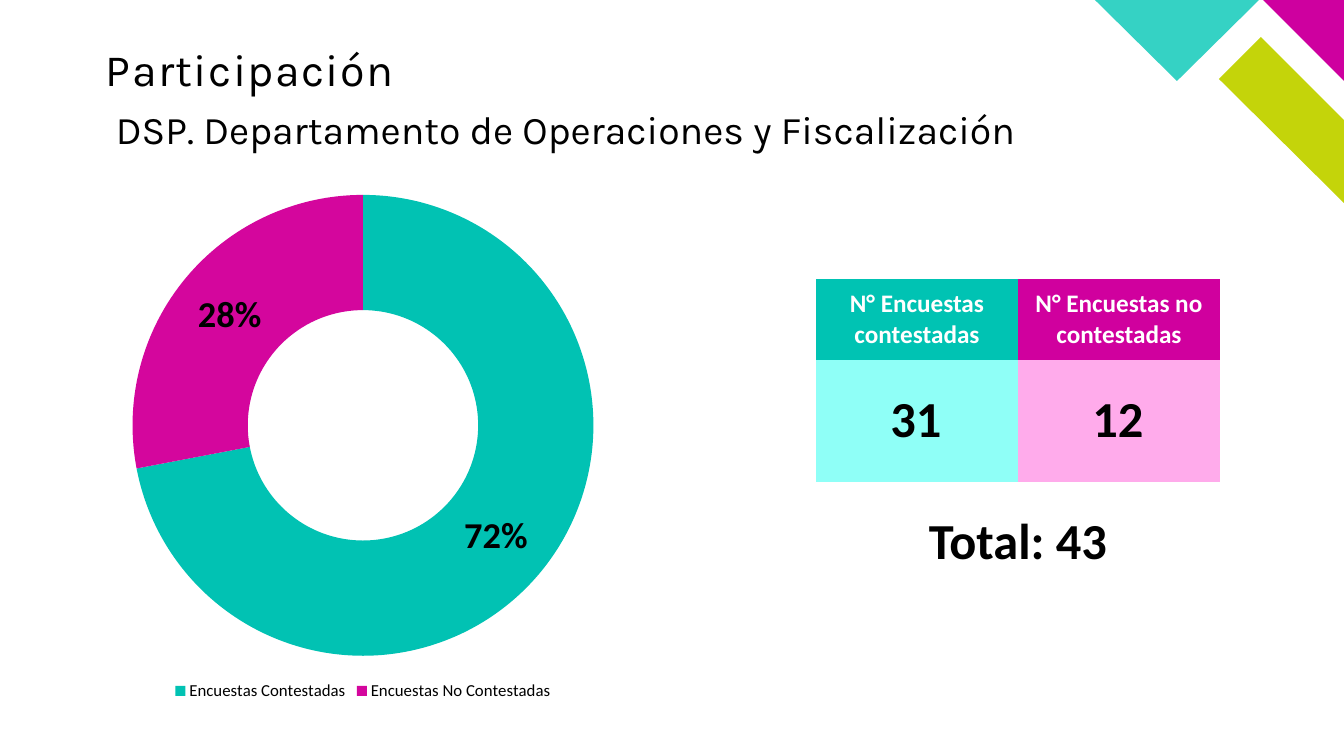
"""Build the survey participation slide: doughnut chart, count table and total."""
from pptx import Presentation
from pptx.chart.data import CategoryChartData
from pptx.dml.color import RGBColor
from pptx.enum.chart import XL_CHART_TYPE, XL_LEGEND_POSITION
from pptx.enum.text import MSO_ANCHOR, PP_ALIGN
from pptx.util import Pt

DOUGHNUT = XL_CHART_TYPE.DOUGHNUT
BOTTOM = XL_LEGEND_POSITION.BOTTOM
TOP, MIDDLE = MSO_ANCHOR.TOP, MSO_ANCHOR.MIDDLE
LEFT, CENTER = PP_ALIGN.LEFT, PP_ALIGN.CENTER
PX = 914400 / 100.8
NO_STYLE = "{2D5ABB26-0587-4C30-8999-92F81FD0307C}"

COLORS = {
    "black": "000000", "white": "FFFFFF", "lime": "C4D40A",
    "magenta": "CE009F", "turquoise": "35D2C4",
    "teal_head": "00C3B3", "pink_head": "D0009E",
    "teal_cell": "8FFFF7", "pink_cell": "FFABEB",
    "teal_slice": "01C2B3", "pink_slice": "D4069D",
}
ORNAMENTS = [
    ("lime", [(1344, 203), (1344, 120), (1261, 37), (1219, 79)]),
    ("magenta", [(1344, 81), (1344, 0), (1263, 0)]),
    ("turquoise", [(1095, 0), (1177, 81), (1259, 0)]),
]
TITLE = "Participación"
SUBTITLE = "DSP. Departamento de Operaciones y Fiscalización"
COUNTS = [
    ("N° Encuestas contestadas", "31", "teal_head", "teal_cell"),
    ("N° Encuestas no contestadas", "12", "pink_head", "pink_cell"),
]
TOTAL = "Total: 43"
SHARES = [
    ("Encuestas Contestadas", 0.72, "teal_slice"),
    ("Encuestas No Contestadas", 0.28, "pink_slice"),
]
TABLE_X, TABLE_Y, COL_W, HEAD_H, COUNT_H = 816, 279, 202, 81, 122
CHART_BOX = (101, 181, 524, 524)

HEADING = {"name": "Karla", "size": Pt(32), "color": "black"}
SUBHEADING = {**HEADING, "size": Pt(28)}
HEAD_FONT = {"name": "Calibri", "size": Pt(18), "bold": True, "color": "white"}
NUMBER = {**HEAD_FONT, "size": Pt(36), "color": "black"}
LABEL = {**NUMBER, "size": Pt(26)}
LEGEND = {**LABEL, "size": Pt(12), "bold": False}


def px(*lengths):
    return [round(n * PX) for n in lengths]


def rgb(name):
    return RGBColor.from_string(COLORS[name])


def paint(fill, color):
    fill.solid()
    fill.fore_color.rgb = rgb(color)


def style(font, fmt):
    for key, value in fmt.items():
        if key == "color":
            font.color.rgb = rgb(value)
        else:
            setattr(font, key, value)


def write(tf, text, fmt, align):
    p = tf.paragraphs[0]
    p.alignment = align
    r = p.add_run()
    r.text = text
    style(r.font, fmt)
    return p


def add_text(s, box, text, fmt, align=CENTER, anchor=MIDDLE):
    tf = s.shapes.add_textbox(*px(*box)).text_frame
    tf.word_wrap = True
    tf.vertical_anchor = anchor
    write(tf, text, fmt, align).line_spacing = 0.9
    return tf


def add_ornaments(s):
    for color, points in ORNAMENTS:
        builder = s.shapes.build_freeform(*points[0], scale=PX)
        builder.add_line_segments(points[1:], close=True)
        sp = builder.convert_to_shape()
        sp.shadow.inherit = False
        paint(sp.fill, color)
        sp.line.fill.background()


def add_headings(s):
    tf = add_text(s, (106, 48, 565, 68), TITLE, HEADING, LEFT, TOP)
    for side in ("left", "top", "right", "bottom"):
        setattr(tf, f"margin_{side}", 0)
    tf.paragraphs[0].runs[0].font._element.set("spc", "100")
    add_text(s, (106, 106, 986, 97), SUBTITLE, SUBHEADING, LEFT, TOP)


def add_counts(s):
    width = COL_W * len(COUNTS)
    count_y = TABLE_Y + HEAD_H
    frame = s.shapes.add_table(
        2, len(COUNTS), *px(TABLE_X, TABLE_Y, width, HEAD_H + COUNT_H))
    table = frame.table
    table.first_row = table.horz_banding = False
    table._tbl.tblPr.find("{*}tableStyleId").text = NO_STYLE
    for row, height in zip(table.rows, px(HEAD_H, COUNT_H)):
        row.height = height
    for i, (heading, count, head_color, cell_color) in enumerate(COUNTS):
        table.columns[i].width = px(COL_W)[0]
        head, body = table.cell(0, i), table.cell(1, i)
        paint(head.fill, head_color)
        paint(body.fill, cell_color)
        head.vertical_anchor = MIDDLE
        write(head.text_frame, heading, HEAD_FONT, CENTER)
        add_text(s, (TABLE_X + i * COL_W, count_y, 200, COUNT_H), count, NUMBER)
    add_text(s, (TABLE_X, count_y + COUNT_H, width, COUNT_H), TOTAL, NUMBER)


def add_doughnut(s):
    names, values, colors = zip(*SHARES)
    data = CategoryChartData()
    data.categories = names
    data.add_series("Series 1", values)
    chart = s.shapes.add_chart(DOUGHNUT, *px(*CHART_BOX), data).chart
    chart.has_title = False
    style(chart.font, {**HEAD_FONT, "bold": False})
    chart.has_legend = True
    chart.legend.position = BOTTOM
    chart.legend.include_in_layout = False
    style(chart.legend.font, LEGEND)
    plot = chart.plots[0]
    plot.vary_by_categories = True
    series = plot.series[0]
    for i, color in enumerate(colors):
        point = series.points[i]
        paint(point.format.fill, color)
        point.format.line.fill.background()
    labels = series.data_labels
    labels.show_value = True
    labels.show_percentage = False
    labels.number_format = "0%"
    labels.number_format_is_linked = False
    style(labels.font, LABEL)


def main():
    prs = Presentation()
    prs.slide_width, prs.slide_height = px(1344, 756)
    s = prs.slides.add_slide(prs.slide_layouts[6])
    add_ornaments(s)
    add_counts(s)
    add_headings(s)
    add_doughnut(s)
    prs.save("out.pptx")


if __name__ == "__main__":
    main()
